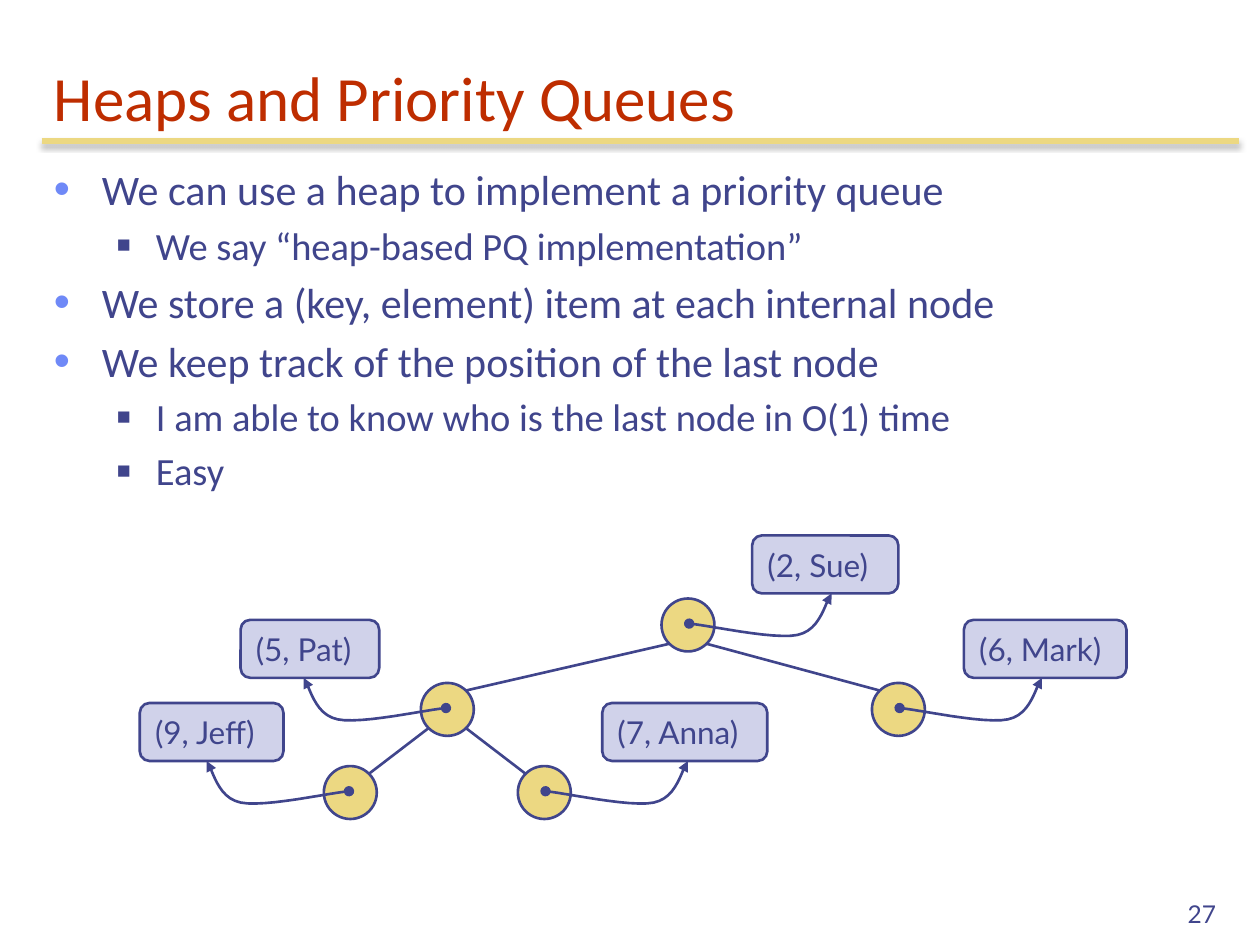
from dataclasses import dataclass

from lxml import etree
from pptx import Presentation
from pptx.dml.color import RGBColor
from pptx.enum import shapes, text
from pptx.oxml import parse_xml
from pptx.oxml.ns import nsdecls, qn
from pptx.util import Inches, Pt

RED = RGBColor(0xBE, 0x2D, 0x00)
INDIGO = RGBColor(0x40, 0x45, 0x8C)
BLUE = RGBColor(0x6F, 0x89, 0xF7)
GOLD = RGBColor(0xEC, 0xD8, 0x82)
LAVENDER = RGBColor(0xD0, 0xD2, 0xEA)

DIAMETER = 0.42
RIM = 0.15  # horizontal and vertical reach of the rim at 45 degrees
LABEL_HEIGHT = 0.46
LABEL_RISE = 0.71  # from a node's centre up to its label's top

BULLETS = [
    (0, "We can use a heap to implement a priority queue"),
    (1, "We say “heap-based PQ implementation”"),
    (0, "We store a (key, element) item at each internal node"),
    (0, "We keep track of the position of the last node"),
    (1, "I am able to know who is the last node in O(1) time"),
    (1, "Easy"),
]
# level: (left margin, hanging indent, bullet, bullet colour, bullet size %, text size)
LEVELS = [(0.38, 0.38, "•", BLUE, 110, 24), (0.81, 0.31, "■", INDIGO, 60, 22)]

# Bezier segments of a pointer, relative to its start and heading right
POINTER = [
    ((0, 0), (0.14, 0.01), (0.67, 0.13), (0.86, 0.09)),
    ((0.86, 0.09), (1.05, 0.05), (1.08, -0.18), (1.13, -0.24)),
]
POINTER_STEPS = 12


@dataclass
class Node:
    x: float
    y: float
    side: int  # 1: label to the right, -1: to the left
    item: str
    label_left: float
    label_width: float


SUE = Node(5.46, 4.96, 1, "(2, Sue)", 5.97, 1.16)
MARK = Node(7.13, 5.63, 1, "(6, Mark)", 7.65, 1.29)
PAT = Node(3.55, 5.63, -1, "(5, Pat)", 1.91, 1.10)
JEFF = Node(2.78, 6.29, -1, "(9, Jeff)", 1.11, 1.14)
ANNA = Node(4.32, 6.29, 1, "(7, Anna)", 4.78, 1.31)
NODES = [SUE, MARK, PAT, JEFF, ANNA]
EDGES = [(SUE, PAT), (SUE, MARK), (PAT, JEFF), (PAT, ANNA)]


def set_font(paragraph, name, size, color):
    paragraph.font.name = name
    paragraph.font.size = Pt(size)
    paragraph.font.color.rgb = color


def add_text(slide, box, anchor):
    frame = slide.shapes.add_textbox(*map(Inches, box)).text_frame
    frame.word_wrap = True
    frame.vertical_anchor = anchor
    return frame


def add_bullets(slide):
    frame = add_text(slide, (0.33, 1.25, 9.5, 5.67), text.MSO_ANCHOR.TOP)
    for index, (level, wording) in enumerate(BULLETS):
        margin, hanging, mark, color, percent, size = LEVELS[level]
        paragraph = frame.add_paragraph() if index else frame.paragraphs[0]
        paragraph.text = wording
        paragraph.level = level
        properties = paragraph._p.get_or_add_pPr()
        properties.set("marL", str(Inches(margin)))
        properties.set("indent", str(-Inches(hanging)))
        bullet_color = etree.SubElement(properties, qn("a:buClr"))
        etree.SubElement(bullet_color, qn("a:srgbClr"), val=str(color))
        etree.SubElement(properties, qn("a:buSzPct"), val=str(percent * 1000))
        etree.SubElement(properties, qn("a:buFont"), typeface="Arial")
        etree.SubElement(properties, qn("a:buChar"), char=mark)
        if index:
            paragraph.space_before = Pt(size * 0.2)
        set_font(paragraph, "Calibri", size, INDIGO)


def add_line(slide, start, end, color, width):
    line = slide.shapes.add_connector(
        shapes.MSO_CONNECTOR.STRAIGHT, *map(Inches, (*start, *end)))
    line.line.color.rgb = color
    line.line.width = Pt(width)
    effects = etree.SubElement(line._element.spPr, qn("a:effectLst"))
    return effects


def add_title_rule(slide):
    effects = add_line(slide, (0.33, 1.12), (9.83, 1.12), GOLD, 3)
    effects.append(parse_xml(
        f'<a:outerShdw {nsdecls("a")} blurRad="40000" dist="23000" dir="5400000" '
        'rotWithShape="0"><a:srgbClr val="000000"><a:alpha val="35000"/>'
        '</a:srgbClr></a:outerShdw>'))


def add_box(slide, kind, box, fill):
    shape = slide.shapes.add_shape(kind, *map(Inches, box))
    shape.shadow.inherit = False
    shape.fill.solid()
    shape.fill.fore_color.rgb = fill
    shape.line.color.rgb = INDIGO
    shape.line.width = Pt(1.5)
    return shape


def add_node(slide, node):
    radius = DIAMETER / 2
    add_box(slide, shapes.MSO_SHAPE.OVAL,
            (node.x - radius, node.y - radius, DIAMETER, DIAMETER), GOLD)


def add_edge(slide, parent, child):
    toward = RIM if child.x > parent.x else -RIM
    add_line(slide, (parent.x + toward, parent.y + RIM),
             (child.x - toward, child.y - RIM), INDIGO, 1.5)


def add_label(slide, node):
    label = add_box(
        slide, shapes.MSO_SHAPE.ROUNDED_RECTANGLE,
        (node.label_left, node.y - LABEL_RISE, node.label_width, LABEL_HEIGHT), LAVENDER)
    frame = label.text_frame
    frame.word_wrap = False
    frame.vertical_anchor = text.MSO_ANCHOR.MIDDLE
    paragraph = frame.paragraphs[0]
    paragraph.text = node.item
    paragraph.alignment = text.PP_ALIGN.LEFT
    set_font(paragraph, "Lato", 18, INDIGO)


def bezier_point(segment, t):
    weights = ((1 - t) ** 3, 3 * t * (1 - t) ** 2, 3 * t * t * (1 - t), t ** 3)
    return [sum(w * point[axis] for w, point in zip(weights, segment)) for axis in (0, 1)]


def add_pointer(slide, node):
    """Curved arrow from the node's centre to the bottom of its label."""
    start_x, start_y = node.x + 0.01 * node.side, node.y - 0.01
    offsets = [bezier_point(segment, step / POINTER_STEPS)
               for segment in POINTER for step in range(1, POINTER_STEPS + 1)]
    builder = slide.shapes.build_freeform(Inches(start_x), Inches(start_y))
    builder.add_line_segments(
        [(Inches(start_x + node.side * x), Inches(start_y + y)) for x, y in offsets],
        close=False)
    pointer = builder.convert_to_shape()
    pointer.shadow.inherit = False
    pointer.fill.background()
    pointer.line.color.rgb = INDIGO
    pointer.line.width = Pt(1.5)
    outline = pointer.line._get_or_add_ln()
    etree.SubElement(outline, qn("a:headEnd"), type="oval")
    etree.SubElement(outline, qn("a:tailEnd"), type="triangle")


def main():
    presentation = Presentation()
    presentation.slide_width, presentation.slide_height = Inches(10), Inches(7.5)
    slide = presentation.slides.add_slide(presentation.slide_layouts[6])

    add_title_rule(slide)
    title = add_text(slide, (0.33, 0.33, 9.5, 0.78), text.MSO_ANCHOR.BOTTOM).paragraphs[0]
    title.text = "Heaps and Priority Queues"
    set_font(title, "Calibri", 36, RED)
    add_bullets(slide)
    number = add_text(slide, (7.67, 6.92, 2.08, 0.5), text.MSO_ANCHOR.BOTTOM).paragraphs[0]
    number.text = "27"
    number.alignment = text.PP_ALIGN.RIGHT
    set_font(number, "Lato", 14, INDIGO)

    for node in NODES:
        add_node(slide, node)
    for parent, child in EDGES:
        add_edge(slide, parent, child)
    for node in NODES:
        add_label(slide, node)
        add_pointer(slide, node)

    presentation.save("out.pptx")


if __name__ == "__main__":
    main()
